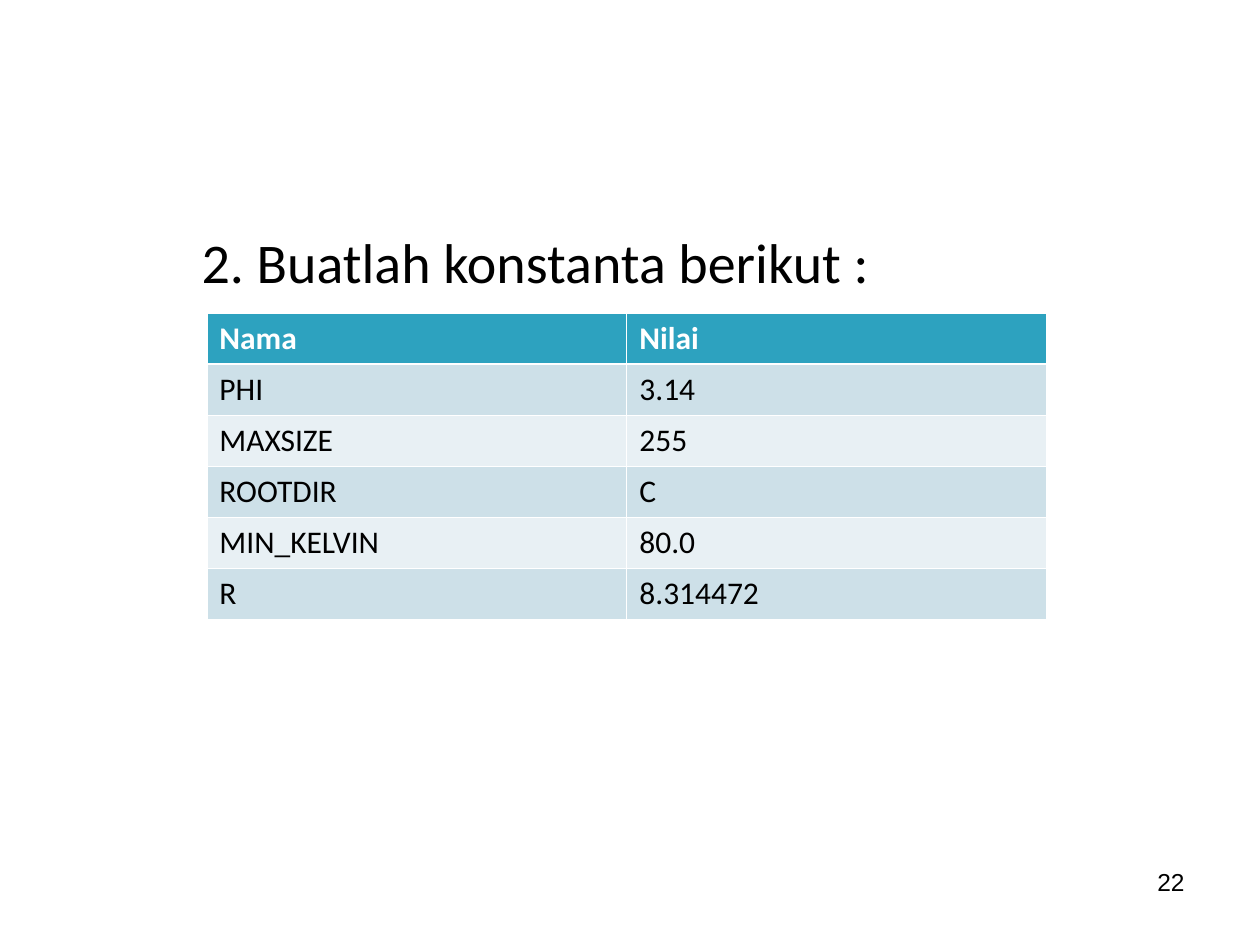
from lxml.etree import SubElement
from pptx import Presentation
from pptx.dml.color import RGBColor
from pptx.enum.text import MSO_ANCHOR, PP_ALIGN
from pptx.oxml.ns import qn
from pptx.util import Cm, Pt

COLORS = {
    "text": "000000",
    "white": "FFFFFF",
    "header": "2DA2BF",
    "odd_row": "CDE0E8",
    "even_row": "E8F0F4",
}
BODY_FONT = {"name": "Calibri", "size": Pt(32), "bold": False}
NUMBER_FONT = {"name": "Arial", "size": Pt(14), "bold": False}
HEADER_FONT = {"name": "Calibri", "size": Pt(18), "bold": True}
CELL_FONT = {"name": "Calibri", "size": Pt(18), "bold": False}
CONSTANTS = [
    ("Nama", "Nilai"),
    ("PHI", "3.14"),
    ("MAXSIZE", "255"),
    ("ROOTDIR", "C"),
    ("MIN_KELVIN", "80.0"),
    ("R", "8.314472"),
]


def write_text(paragraph, text, font_format, color):
    run = paragraph.add_run()
    run.text = text
    for attribute, value in font_format.items():
        setattr(run.font, attribute, value)
    run.font.color.rgb = RGBColor.from_string(COLORS[color])


def add_border(properties, side, width):
    line = SubElement(properties, qn(f"a:{side}"), w=str(Pt(width)))
    fill = SubElement(line, qn("a:solidFill"))
    SubElement(fill, qn("a:srgbClr"), val=COLORS["white"])


presentation = Presentation()
presentation.slide_width = Cm(25.4)
presentation.slide_height = Cm(19.05)
slide = presentation.slides.add_slide(presentation.slide_layouts[1])
title = slide.shapes.title.element
title.getparent().remove(title)

body = slide.placeholders[1]
body_place = {"left": Cm(3.81), "top": Cm(4.45), "width": Cm(21.34), "height": Cm(12.57)}
for attribute, value in body_place.items():
    setattr(body, attribute, value)
body.text_frame.vertical_anchor = MSO_ANCHOR.TOP
paragraph = body.text_frame.paragraphs[0]
paragraph.space_before = Pt(8)
write_text(paragraph, "2. Buatlah konstanta berikut :", BODY_FONT, "text")
properties = paragraph._p.get_or_add_pPr()
properties.set("marL", str(Cm(0.97)))
properties.set("indent", str(Cm(-0.97)))
SubElement(properties, qn("a:buNone"))

number_box = slide.shapes.add_textbox(Cm(18.21), Cm(17.35), Cm(5.92), Cm(1.32))
number_box.text_frame.word_wrap = True
paragraph = number_box.text_frame.paragraphs[0]
paragraph.alignment = PP_ALIGN.RIGHT
write_text(paragraph, "22", NUMBER_FONT, "text")

table = slide.shapes.add_table(
    len(CONSTANTS), 2, Cm(4.17), Cm(6.31), Cm(16.93), Cm(6.18)
).table
for row_index, values in enumerate(CONSTANTS):
    table.rows[row_index].height = Cm(1.03)
    is_header = row_index == 0
    fill_name = "header" if is_header else "odd_row" if row_index % 2 else "even_row"
    for column_index, value in enumerate(values):
        cell = table.cell(row_index, column_index)
        write_text(
            cell.text_frame.paragraphs[0],
            value,
            HEADER_FONT if is_header else CELL_FONT,
            "white" if is_header else "text",
        )
        properties = cell._tc.get_or_add_tcPr()
        widths = {
            "lnL": 0.45,
            "lnR": 0.45,
            "lnT": 1.47 if row_index == 1 else 0.45,
            "lnB": 1.47 if is_header else 0.45,
        }
        for side, width in widths.items():
            add_border(properties, side, width)
        cell.fill.solid()
        cell.fill.fore_color.rgb = RGBColor.from_string(COLORS[fill_name])

presentation.save("out.pptx")
